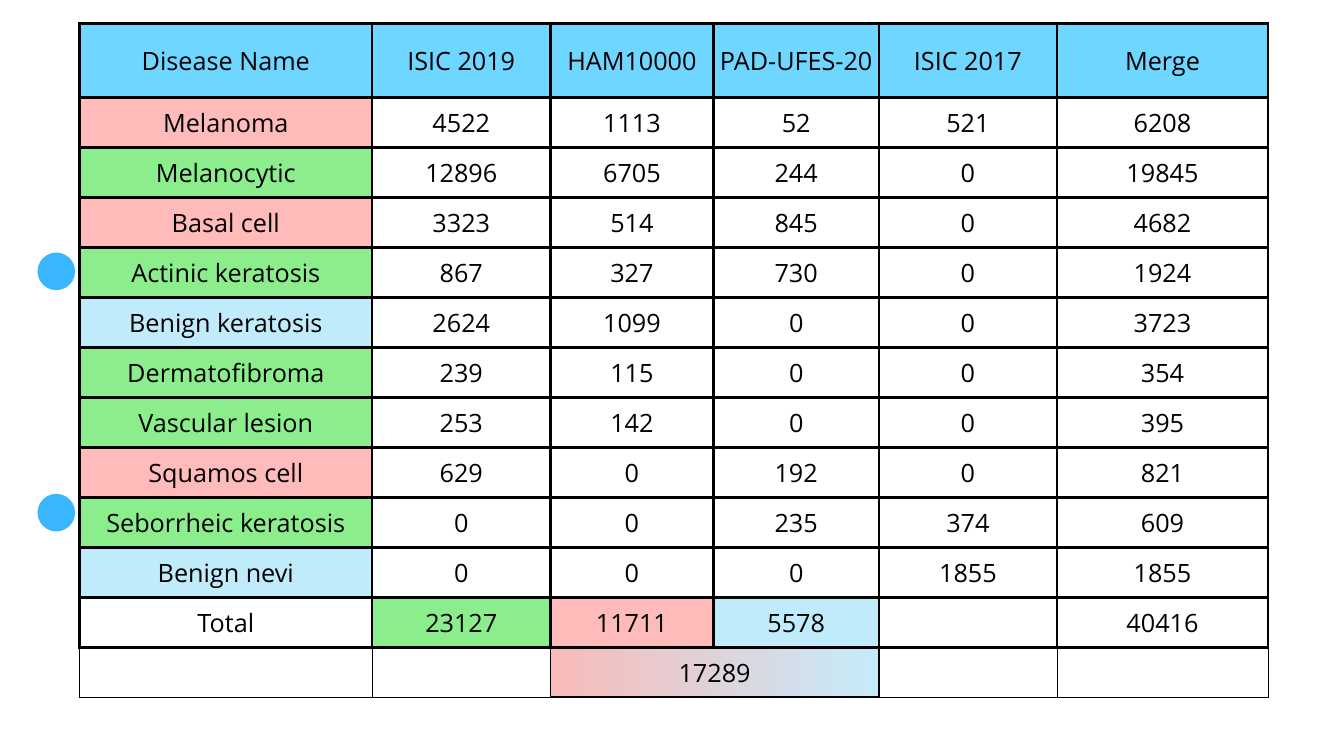
import pptx
import pptx.dml.color
import pptx.enum.shapes
import pptx.enum.text
import pptx.oxml
import pptx.oxml.ns
import pptx.util

Cm = pptx.util.Cm
Pt = pptx.util.Pt
RGB = pptx.dml.color.RGBColor

BLACK = RGB(0x00, 0x00, 0x00)
SKY = RGB(0x6F, 0xD6, 0xFF)
PINK = RGB(0xFF, 0xBA, 0xBA)
GREEN = RGB(0x8C, 0xED, 0x8C)
PALE = RGB(0xC0, 0xEB, 0xFA)
DOT = RGB(0x38, 0xB6, 0xFF)
BLEND = (RGB(0xF9, 0xBA, 0xB9), RGB(0xC5, 0xEB, 0xFA))

HEAD = ["Disease Name", "ISIC 2019", "HAM10000", "PAD-UFES-20", "ISIC 2017", "Merge"]
CASES = [
    (PINK, "Melanoma", 4522, 1113, 52, 521, 6208),
    (GREEN, "Melanocytic", 12896, 6705, 244, 0, 19845),
    (PINK, "Basal cell", 3323, 514, 845, 0, 4682),
    (GREEN, "Actinic keratosis", 867, 327, 730, 0, 1924),
    (PALE, "Benign keratosis", 2624, 1099, 0, 0, 3723),
    (GREEN, "Dermatofibroma", 239, 115, 0, 0, 354),
    (GREEN, "Vascular lesion", 253, 142, 0, 0, 395),
    (PINK, "Squamos cell", 629, 0, 192, 0, 821),
    (GREEN, "Seborrheic keratosis", 0, 0, 235, 374, 609),
    (PALE, "Benign nevi", 0, 0, 0, 1855, 1855),
]
TOTAL = ["Total", 23127, 11711, 5578, "", 40416]
WIDTHS = [11.07, 6.73, 6.17, 6.25, 6.73, 7.98]
HEIGHTS = [2.79] + [1.89] * 12

THICK = dict.fromkeys("LRTB", 3)
THIN = {"L": 0.75, "R": 0.75, "T": 3, "B": 0.75}
SUM = {"L": 0.75, "R": 2.25, "T": 3, "B": 2.25}
NEXT = {**THIN, "L": 2.25}


class Deck:
    def __init__(self, font, size, lead):
        self.font, self.size, self.lead = font, size, lead
        self.prs = pptx.Presentation()
        self.prs.slide_width = Cm(50.8)
        self.prs.slide_height = Cm(28.58)
        self.slide = self.prs.slides.add_slide(self.prs.slide_layouts[6])

    def grid(self, left, top, widths, heights):
        frame = self.slide.shapes.add_table(
            len(heights), len(widths), Cm(left), Cm(top), Cm(sum(widths)), Cm(sum(heights)))
        table = frame.table
        table.first_row = table.horz_banding = False
        for col, width in zip(table.columns, widths):
            col.width = Cm(width)
        for row, height in zip(table.rows, heights):
            row.height = Cm(height)
        return table

    def edge(self, cell, sides):
        """Draw cell borders; sides maps L, R, T and B to widths in points."""
        props = cell._tc.get_or_add_tcPr()
        for side, width in sides.items():
            props.append(pptx.oxml.parse_xml(
                f'<a:ln{side} {pptx.oxml.ns.nsdecls("a")} w="{int(Pt(width))}">'
                f'<a:solidFill><a:srgbClr val="{BLACK}"/></a:solidFill></a:ln{side}>'))

    def cell(self, cell, text, fill=None, sides=THICK):
        """Style a cell; fill is a colour, a pair of colours for a blend, or None."""
        self.edge(cell, sides)
        if fill is None:
            cell.fill.background()
        elif fill is BLEND:
            cell.fill.gradient()
            cell.fill.gradient_angle = 0
            for stop, tone in zip(cell.fill.gradient_stops, fill):
                stop.color.rgb = tone
        else:
            cell.fill.solid()
            cell.fill.fore_color.rgb = fill
        cell.vertical_anchor = pptx.enum.text.MSO_ANCHOR.MIDDLE
        cell.margin_left = cell.margin_right = Cm(0.1)
        cell.margin_top = cell.margin_bottom = Cm(0.1)
        if text != "":
            self.text(cell.text_frame.paragraphs[0], str(text))

    def text(self, para, text):
        para.alignment = pptx.enum.text.PP_ALIGN.CENTER
        para.line_spacing = Pt(self.lead)
        run = para.add_run()
        run.text = text
        run.font.name = self.font
        run.font.size = Pt(self.size)
        run.font.color.rgb = BLACK

    def dot(self, left, top, size):
        oval = self.slide.shapes.add_shape(
            pptx.enum.shapes.MSO_SHAPE.OVAL, Cm(left), Cm(top), Cm(size), Cm(size))
        oval.shadow.inherit = False
        oval.fill.solid()
        oval.fill.fore_color.rgb = DOT
        oval.line.fill.background()


def main():
    deck = Deck("Open Sans", 27, 37.8)
    table = deck.grid(3, 0.89, WIDTHS, HEIGHTS)

    rows = [(HEAD, [SKY] * 6)]
    rows += [(case, [tone] + [None] * 5) for tone, *case in CASES]
    rows.append((TOTAL, [None, GREEN, PINK, PALE, None, None]))
    for r, (texts, fills) in enumerate(rows):
        for c, (text, fill) in enumerate(zip(texts, fills)):
            deck.cell(table.cell(r, c), text, fill)

    last = len(rows)
    table.cell(last, 2).merge(table.cell(last, 3))
    deck.cell(table.cell(last, 2), 17289, BLEND, SUM)
    for c, sides in {0: THIN, 1: THIN, 3: SUM, 4: NEXT, 5: THIN}.items():
        deck.cell(table.cell(last, c), "", None, sides)

    for top in (9.55, 18.67):
        deck.dot(1.42, top, 1.42)
    deck.prs.save("out.pptx")


if __name__ == "__main__":
    main()
